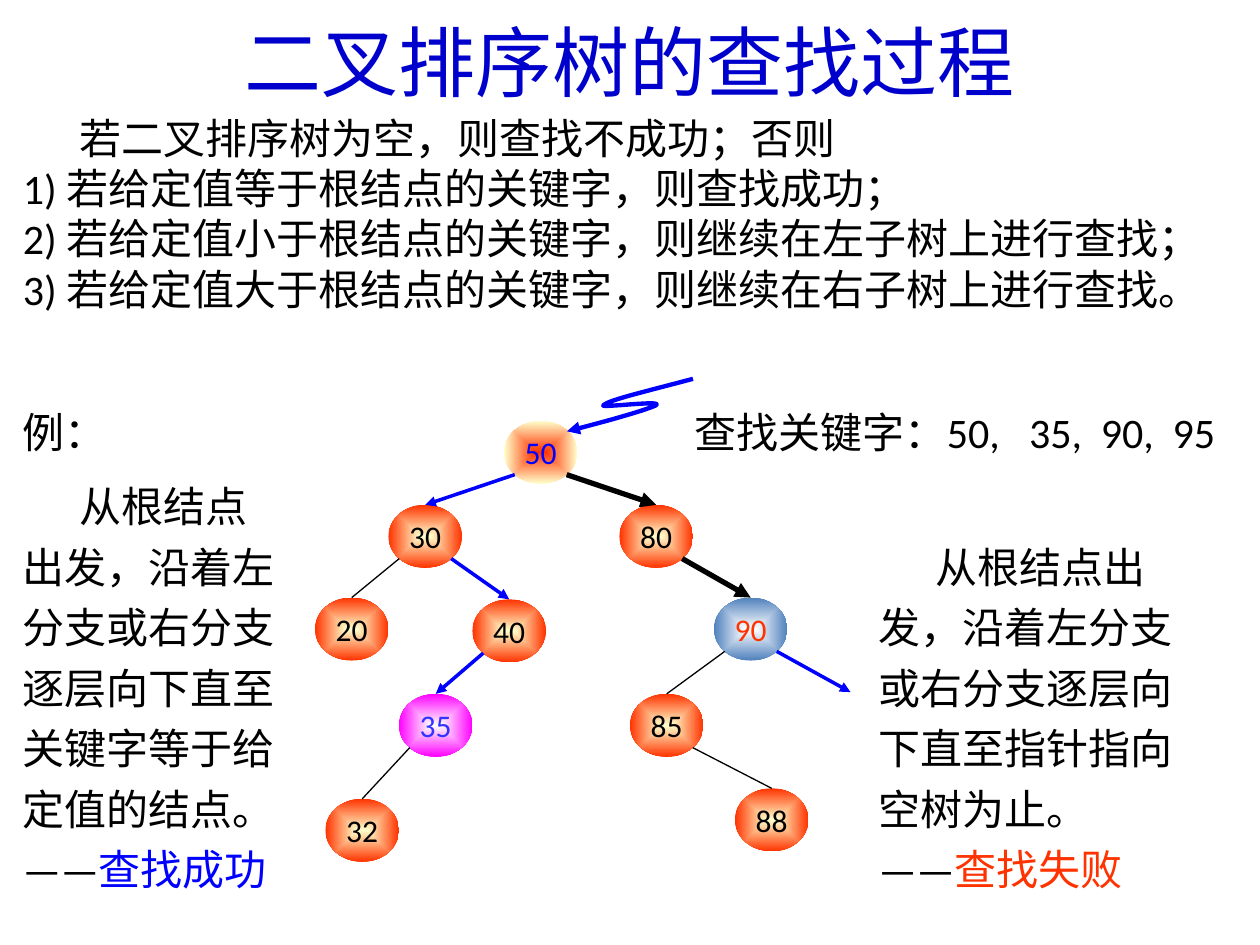
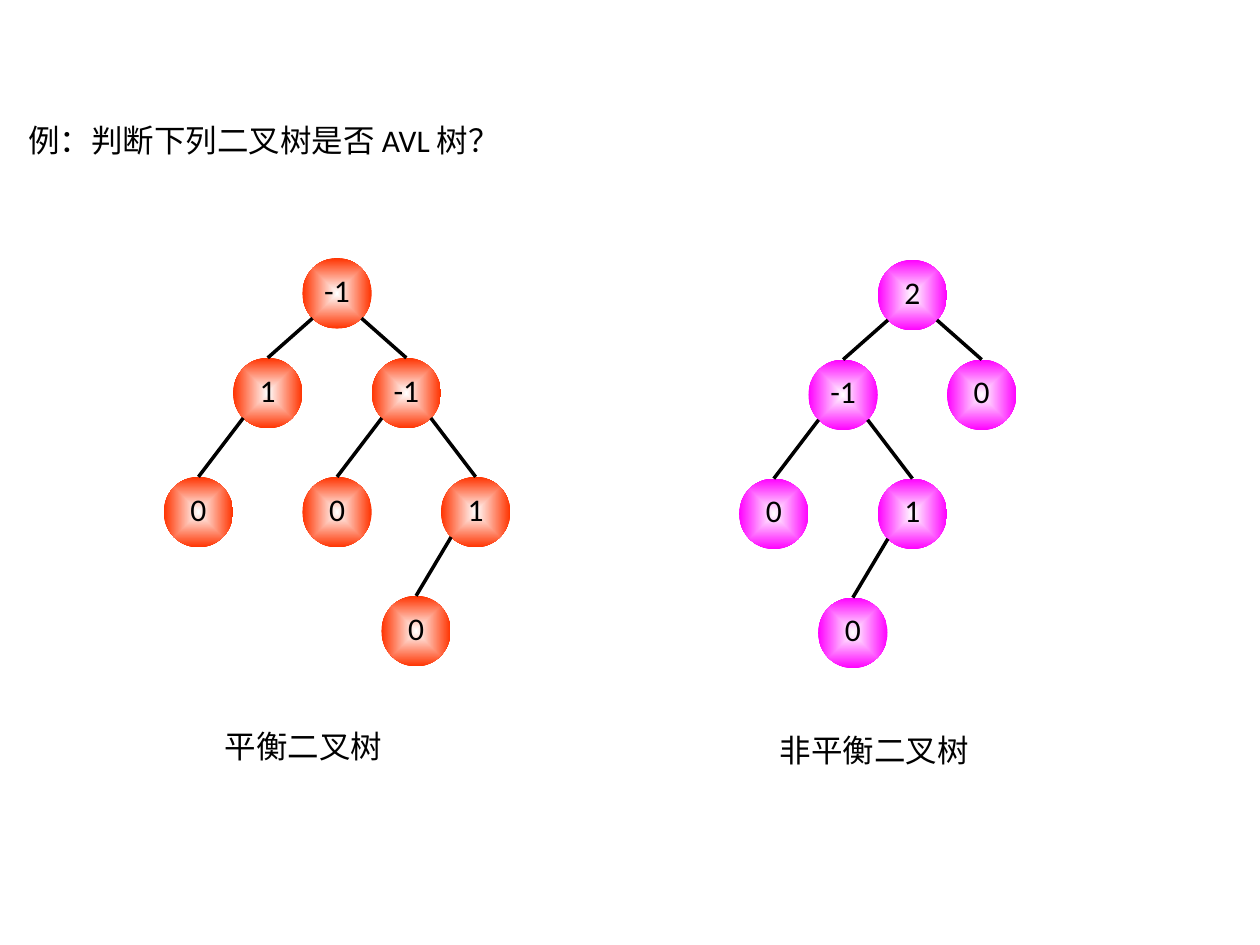
import dataclasses

import lxml.etree
import pptx
import pptx.dml.color
import pptx.enum.shapes
import pptx.enum.text
import pptx.oxml.ns
import pptx.util

Pt = pptx.util.Pt
qn = pptx.oxml.ns.qn
LEFT = pptx.enum.text.PP_ALIGN.LEFT
CENTER = pptx.enum.text.PP_ALIGN.CENTER


@dataclasses.dataclass(frozen=True)
class Theme:
    background: str = "FFFFFF"
    ink: str = "000000"
    title: str = "0000CC"
    blue: str = "0000FF"
    violet: str = "3333FF"
    steel: str = "4F81BD"
    red: str = "FF3300"
    cream: str = "FFFFCC"
    white: str = "FFFFFF"
    magenta: str = "FF00FF"
    body_font: str = "Calibri"
    chinese_font: str = "Noto Sans CJK SC"
    title_size: int = 44
    body_size: int = 24
    small_size: int = 18
    first_indent: float = 32.5


THEME = Theme()


@dataclasses.dataclass(frozen=True)
class Node:
    label: str
    left: float
    top: float
    inner: str = THEME.cream
    outer: str = THEME.red
    ink: str = THEME.ink


def rgb(colour):
    return pptx.dml.color.RGBColor.from_string(colour)


def write_text(frame, paragraphs, size=THEME.body_size, font=THEME.body_font,
               colour=THEME.ink, align=LEFT, spacing=None, first_indent=0, tabs=()):
    """Fill a frame; a paragraph is a string or a list of (text, colour) spans."""
    for number, content in enumerate(paragraphs):
        para = frame.paragraphs[0] if number == 0 else frame.add_paragraph()
        para.alignment = align
        if spacing:
            para.line_spacing = spacing
        properties = para._p.get_or_add_pPr()
        if first_indent and number == 0:
            properties.set("marL", "0")
            properties.set("indent", str(Pt(first_indent)))
        if tabs:
            tab_list = lxml.etree.SubElement(properties, qn("a:tabLst"))
            for position in tabs:
                lxml.etree.SubElement(tab_list, qn("a:tab"), pos=str(Pt(position)), algn="l")
        spans = [(content, colour)] if isinstance(content, str) else content
        for words, ink in spans:
            span = para.add_run()
            span.text = words
            span.font.size = Pt(size)
            span.font.color.rgb = rgb(ink)
            span.font.name = font
            lxml.etree.SubElement(span._r.get_or_add_rPr(), qn("a:ea"), typeface=font)


def add_text(page, box, paragraphs, **text_format):
    frame = page.shapes.add_textbox(*map(Pt, box)).text_frame
    frame.word_wrap = True
    write_text(frame, paragraphs, **text_format)


def style_line(line, colour, width, arrow=False):
    line.color.rgb = rgb(colour)
    line.width = Pt(width)
    if arrow:
        lxml.etree.SubElement(line._get_or_add_ln(), qn("a:tailEnd"), type="triangle")


def fill_radial(shape, inner, outer):
    """Gradient that follows the shape from its centre to its edge."""
    gradient = lxml.etree.Element(qn("a:gradFill"), rotWithShape="1")
    stops = lxml.etree.SubElement(gradient, qn("a:gsLst"))
    for position, colour in (("0", inner), ("100000", outer)):
        stop = lxml.etree.SubElement(stops, qn("a:gs"), pos=position)
        lxml.etree.SubElement(stop, qn("a:srgbClr"), val=colour)
    focus = lxml.etree.SubElement(gradient, qn("a:path"), path="shape")
    lxml.etree.SubElement(focus, qn("a:fillToRect"), l="50000", t="50000", r="50000", b="50000")
    shape._element.spPr.find(qn("a:prstGeom")).addnext(gradient)


def add_node(page, box, node, spacing=None):
    oval = page.shapes.add_shape(pptx.enum.shapes.MSO_SHAPE.OVAL, *map(Pt, box))
    oval.shadow.inherit = False
    fill_radial(oval, node.inner, node.outer)
    oval.line.fill.background()
    frame = oval.text_frame
    frame.word_wrap = False
    frame.vertical_anchor = pptx.enum.text.MSO_ANCHOR.MIDDLE
    write_text(frame, [node.label], size=THEME.small_size, colour=node.ink,
               align=CENTER, spacing=spacing)
    return oval


def add_edge(page, parent, side, child=None, end=(0, 0), colour=THEME.ink, width=0.75, arrow=False):
    """Leave the parent at its lower left (-1) or right (1), reach the top of the child."""
    reach = 0.5 ** 0.5 / 2
    start_x = parent.left + parent.width * (0.5 + side * reach)
    start_y = parent.top + parent.height * (0.5 + reach)
    edge = page.shapes.add_connector(pptx.enum.shapes.MSO_CONNECTOR.STRAIGHT,
                                     int(start_x), int(start_y), *map(Pt, end))
    if child is not None:
        edge.end_connect(child, 0)
    style_line(edge.line, colour, width, arrow)
    lxml.etree.SubElement(edge._element.spPr, qn("a:effectLst"))


def add_tree(page, origin, size, nodes, edges, spacing=None):
    """Nodes are keyed; an edge is (parent key, child key, side, line format)."""
    ovals = {key: add_node(page, (origin[0] + node.left, origin[1] + node.top, *size), node, spacing)
             for key, node in nodes.items()}
    for parent, child, side, line_format in edges:
        add_edge(page, ovals[parent], side, ovals[child], **line_format)
    return ovals


def add_squiggle(page, left, top):
    """Curved arrow that points at the root, sampled from three cubic curves."""
    curves = [
        ((72, 0), (48, 6.5), (24, 12), (21, 15)),
        ((21, 15), (17, 17), (55, 12), (51, 15)),
        ((51, 15), (48, 17), (24, 24), (0, 30)),
    ]
    steps = 16
    points = []
    for curve in curves:
        for step in range(steps + 1):
            t = step / steps
            weights = ((1 - t) ** 3, 3 * t * (1 - t) ** 2, 3 * t ** 2 * (1 - t), t ** 3)
            x, y = (sum(w * point[axis] for w, point in zip(weights, curve)) for axis in (0, 1))
            points.append((Pt(left + x), Pt(top + y)))
    builder = page.shapes.build_freeform(*points[0])
    builder.add_line_segments(points[1:], close=False)
    squiggle = builder.convert_to_shape()
    squiggle.shadow.inherit = False
    squiggle.fill.background()
    style_line(squiggle.line, THEME.blue, 2.5, arrow=True)


def add_page(deck):
    page = deck.slides.add_slide(deck.slide_layouts[6])
    page.background.fill.solid()
    page.background.fill.fore_color.rgb = rgb(THEME.background)
    return page


def add_search_tree(page, left, top):
    nodes = [
        Node("50", 108, 0, THEME.red, THEME.cream, THEME.blue),
        Node("30", 42, 48), Node("80", 174, 48),
        Node("20", 0, 101), Node("40", 90, 102),
        Node("90", 228, 101, THEME.white, THEME.steel, THEME.red),
        Node("35", 48, 156, THEME.white, THEME.magenta, THEME.violet),
        Node("85", 180, 156), Node("88", 240, 210), Node("32", 6, 216),
    ]
    plain = {}
    found = {"colour": THEME.blue, "width": 2, "arrow": True}
    failed = {"width": 3, "arrow": True}
    edges = [
        ("50", "30", -1, found), ("30", "40", 1, found), ("40", "35", -1, found),
        ("50", "80", 1, failed), ("80", "90", 1, failed),
        ("30", "20", -1, plain), ("35", "32", -1, plain),
        ("90", "85", -1, plain), ("85", "88", 1, plain),
    ]
    ovals = add_tree(page, (left, top), (42, 36), {node.label: node for node in nodes}, edges)
    # Step from 90 to the empty subtree
    add_edge(page, ovals["90"], 1, end=(left + 306, top + 155), **found)
    add_squiggle(page, left + 144, top - 24)


def add_outcome(page, box, lines, outcome, colour):
    add_text(page, box, [*lines, [("——", THEME.ink), (outcome, colour)]],
             spacing=1.2, first_indent=THEME.first_indent)


def build_search_page(deck):
    page = add_page(deck)
    # Title and rules
    add_text(page, (36, 4.5, 648, 90), ["二叉排序树的查找过程"], size=THEME.title_size,
             font=THEME.chinese_font, colour=THEME.title, align=CENTER)
    add_text(page, (6, 60.5, 700, 124), [
        "若二叉排序树为空，则查找不成功；否则",
        "1) 若给定值等于根结点的关键字，则查找成功；",
        "2) 若给定值小于根结点的关键字，则继续在左子树上进行查找；",
        "3) 若给定值大于根结点的关键字，则继续在右子树上进行查找。",
    ], first_indent=THEME.first_indent)
    # Example heading and search keys
    add_text(page, (6, 228.5, 69, 36), ["例："])
    add_text(page, (390, 228.5, 322, 36), ["查找关键字：50,\t35,\t90,\t95"], tabs=(191, 232, 273))
    add_search_tree(page, 180, 240.5)
    # Outcomes on either side of the tree
    add_outcome(page, (6, 265.5, 168, 249), [
        "从根结点", "出发，沿着左", "分支或右分支", "逐层向下直至", "关键字等于给", "定值的结点。",
    ], "查找成功", THEME.blue)
    add_outcome(page, (495, 300, 207, 215), [
        "从根结点出", "发，沿着左分支", "或右分支逐层向", "下直至指针指向", "空树为止。",
    ], "查找失败", THEME.red)


def add_balance_tree(page, root, colour, places, links):
    """Places are (label, column, row) in steps of one node width, root first."""
    rows = (0, 57, 125, 193)
    width, height = 39.6, 40.3
    nodes = {number: Node(label, column * width, rows[row], THEME.white, colour)
             for number, (label, column, row) in enumerate(places)}
    edges = [(parent, child, 1 if places[child][1] > places[parent][1] else -1, {"width": 2})
             for parent, child in links]
    add_tree(page, root, (width, height), nodes, edges, spacing=0.8)


def build_balance_page(deck):
    page = add_page(deck)
    add_text(page, (9, 65.5, 408, 36), ["例：判断下列二叉树是否 AVL 树？"], size=THEME.small_size)
    # Balanced tree
    add_balance_tree(page, (172.8, 147.5), THEME.red, [
        ("-1", 0, 0), ("1", -1, 1), ("-1", 1, 1),
        ("0", -2, 2), ("0", 0, 2), ("1", 2, 2), ("0", 1.14, 3),
    ], [(0, 1), (0, 2), (1, 3), (2, 4), (2, 5), (5, 6)])
    # Unbalanced tree
    add_balance_tree(page, (501.6, 148.5), THEME.magenta, [
        ("2", 0, 0), ("-1", -1, 1), ("0", 1, 1),
        ("0", -2, 2), ("1", 0, 2), ("0", -0.86, 3),
    ], [(0, 1), (0, 2), (1, 3), (1, 4), (4, 5)])
    # Captions
    for caption, box in (("平衡二叉树", (121.5, 412, 136, 36)),
                         ("非平衡二叉树", (438.5, 414, 165, 36))):
        add_text(page, box, [caption], size=THEME.small_size, font=THEME.chinese_font)


def main():
    deck = pptx.Presentation()
    deck.slide_width, deck.slide_height = Pt(720), Pt(540)
    build_search_page(deck)
    build_balance_page(deck)
    deck.save("out.pptx")


if __name__ == "__main__":
    main()
